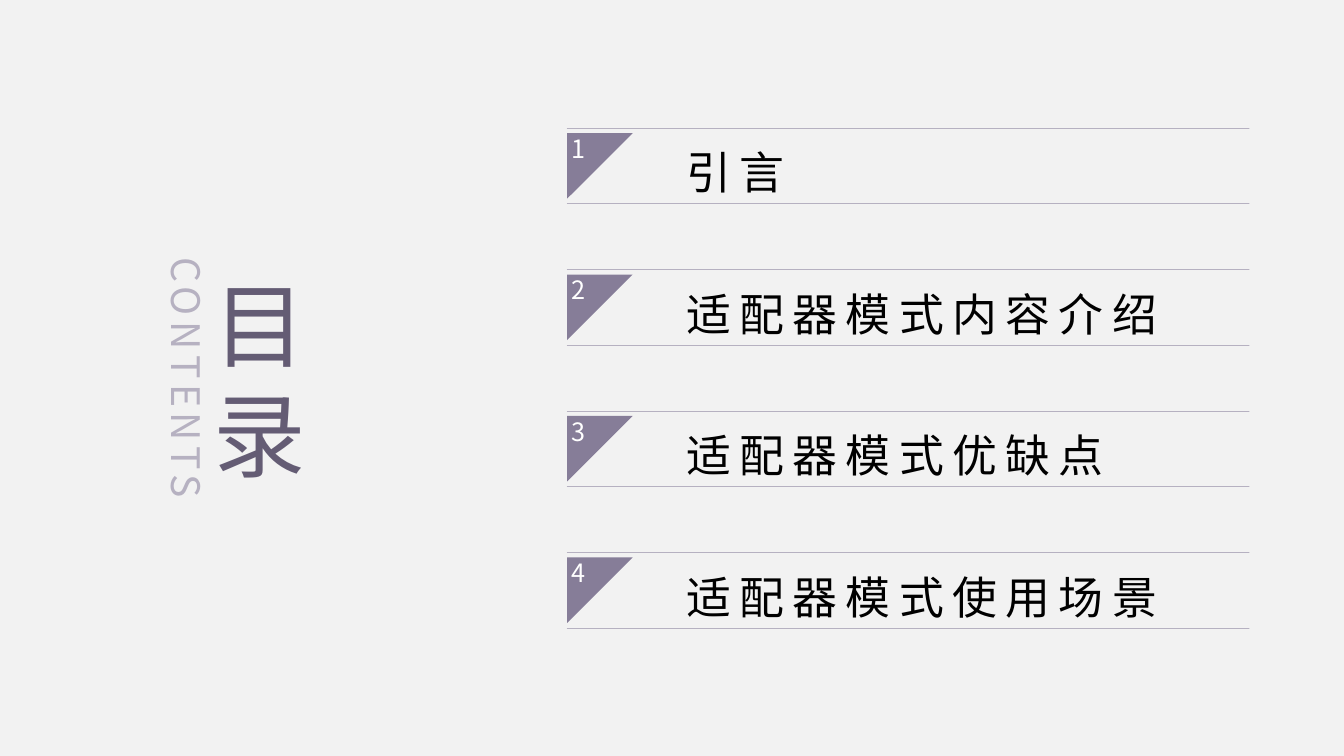
from lxml.etree import SubElement
from pptx import Presentation
from pptx.dml.color import RGBColor
from pptx.enum.text import MSO_ANCHOR, PP_ALIGN
from pptx.oxml.ns import qn
from pptx.util import Inches, Pt

FONT = "Noto Sans CJK SC"
PURPLE = "867D98"
DARK_PURPLE = "645C74"
PALE_PURPLE = "B6B1C1"
TOPICS = ["引言", "适配器模式内容介绍", "适配器模式优缺点", "适配器模式使用场景"]


def color(value):
    return RGBColor.from_string(value)


def style_text(frame, size, value, align=PP_ALIGN.LEFT, spacing=0, line_spacing=1.0):
    for para in frame.paragraphs:
        para.alignment = align
        para.line_spacing = line_spacing
        for span in para.runs:
            span.font.name = FONT
            span.font.size = Pt(size)
            span.font.color.rgb = color(value)
            properties = span._r.get_or_add_rPr()
            properties.set("spc", str(spacing * 100))
            SubElement(properties, qn("a:ea"), typeface=FONT)


def set_text(box, text, anchor, left=0, bottom=0):
    frame = box.text_frame
    frame.word_wrap = True
    frame.vertical_anchor = anchor
    frame.margin_left, frame.margin_bottom = Inches(left), Inches(bottom)
    frame.margin_top = frame.margin_right = 0
    frame.text = text


def add_text(page, text, left, top, width, height):
    box = page.shapes.add_textbox(Inches(left), Inches(top), Inches(width), Inches(height))
    set_text(box, text, MSO_ANCHOR.MIDDLE)
    return box


def add_outline(page, contours):
    builder = None
    for contour in contours:
        start, *others = [(Inches(x), Inches(y)) for x, y in contour]
        if builder is None:
            builder = page.shapes.build_freeform(*start)
        else:
            builder.move_to(*start)
        builder.add_line_segments(others, close=True)
    outline = builder.convert_to_shape()
    outline.shadow.inherit = False
    return outline


def add_title(page, topic, left, top, width, height):
    title = add_outline(page, [[(left, y), (left + width, y), (left, y)]
                               for y in (top + height, top)])
    title.fill.background()
    title.line.color.rgb = color(PALE_PURPLE)
    title.line.width = Pt(0.25)
    set_text(title, topic, MSO_ANCHOR.MIDDLE, 1.18, 0.04)
    style_text(title.text_frame, 32, "000000", spacing=6, line_spacing=1.3)


def add_number(page, number, left, top, side):
    corner = add_outline(page, [[(left, top), (left + side, top), (left, top + side)]])
    corner.fill.solid()
    corner.fill.fore_color.rgb = color(PURPLE)
    corner.line.fill.background()
    set_text(corner, str(number), MSO_ANCHOR.TOP, 0.04, 0.47)
    style_text(corner.text_frame, 18, "FFFFFF")


def add_topics(page, left, top, width, height):
    row_height = 0.75
    pitch = (height - row_height) / (len(TOPICS) - 1)
    for index, topic in enumerate(TOPICS):
        row_top = top + index * pitch
        add_title(page, topic, left, row_top, width, row_height)
        add_number(page, index + 1, left, row_top + 0.05, 0.65)


def add_heading(page, left, top, width, height):
    heading = add_text(page, "目\n录", left + 0.11, top, width - 0.11, height)
    style_text(heading.text_frame, 66, DARK_PURPLE, PP_ALIGN.CENTER)
    label_width, label_height = 4.04, 0.57
    label = add_text(page, "CONTENTS", left + 0.18 - label_width / 2,
                     top + (height - label_height) / 2 - 0.01, label_width, label_height)
    label.rotation = 90
    style_text(label.text_frame, 28, PALE_PURPLE, PP_ALIGN.CENTER, spacing=4)


def main():
    deck = Presentation()
    deck.slide_width, deck.slide_height = Inches(13.33), Inches(7.5)
    page = deck.slides.add_slide(deck.slide_layouts[6])
    page.background.fill.solid()
    page.background.fill.fore_color.rgb = color("F2F2F2")
    add_topics(page, 5.625, 1.27, 6.765, 4.96)
    add_heading(page, 1.68, 2.25, 1.68, 3.01)
    deck.save("out.pptx")


if __name__ == "__main__":
    main()
